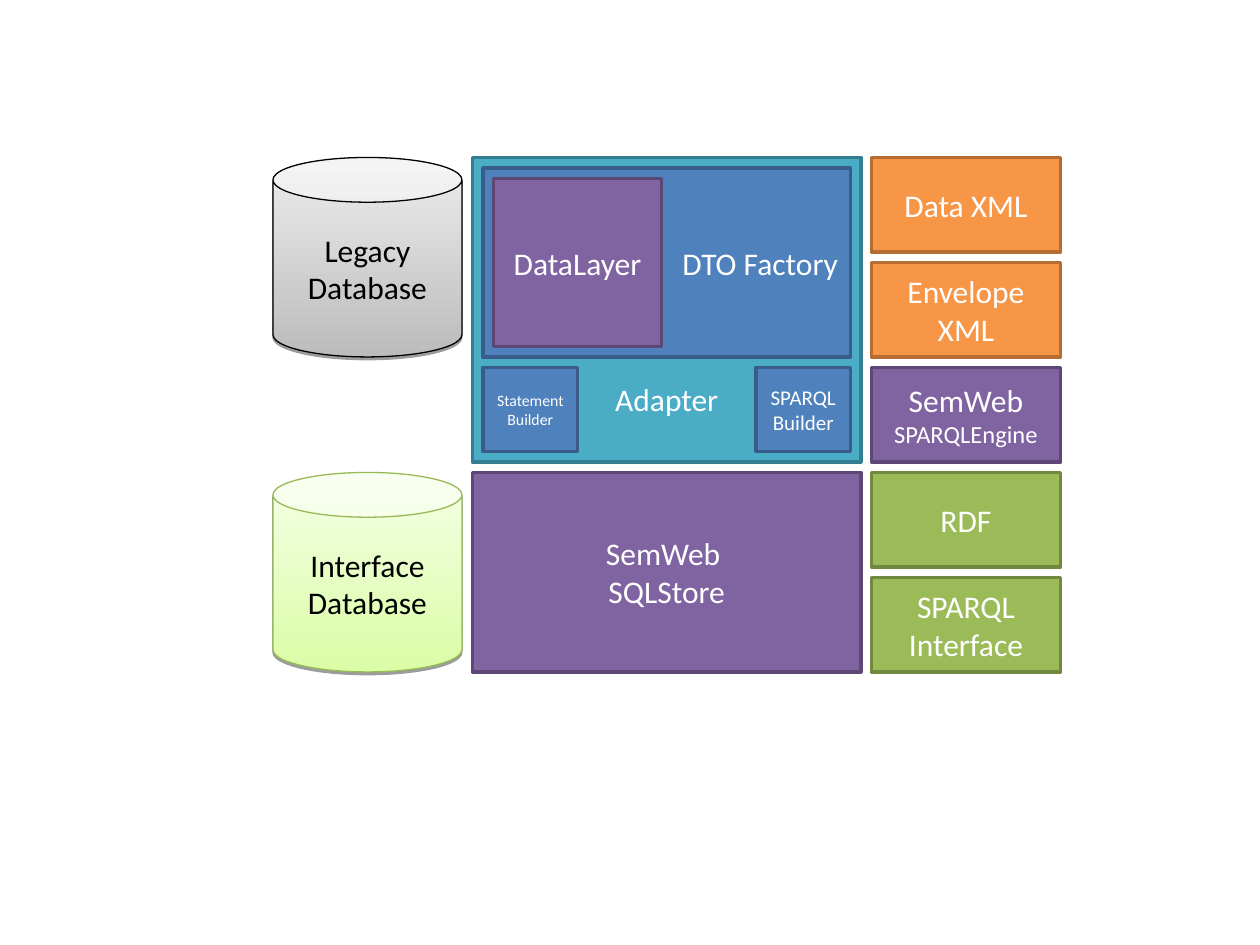
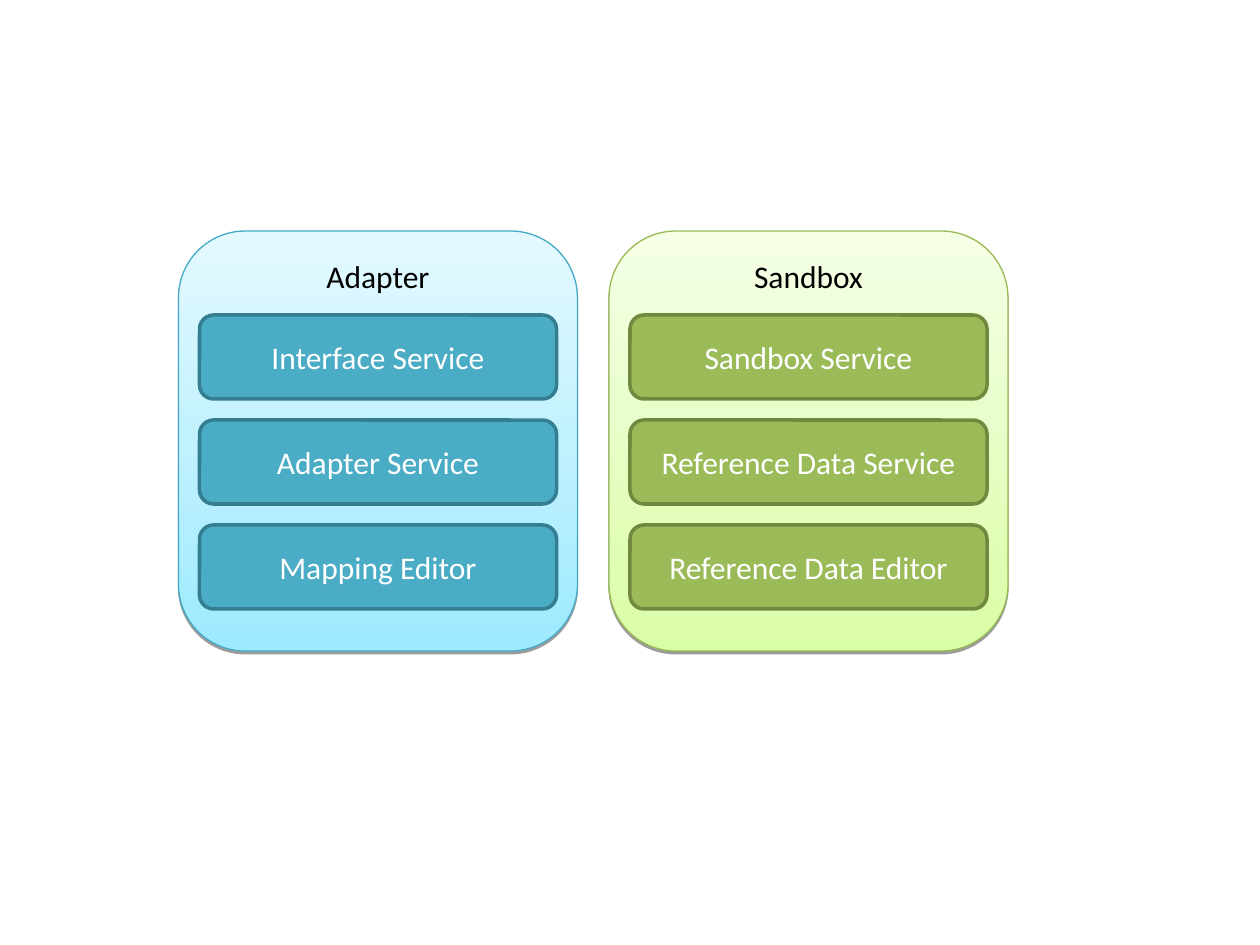
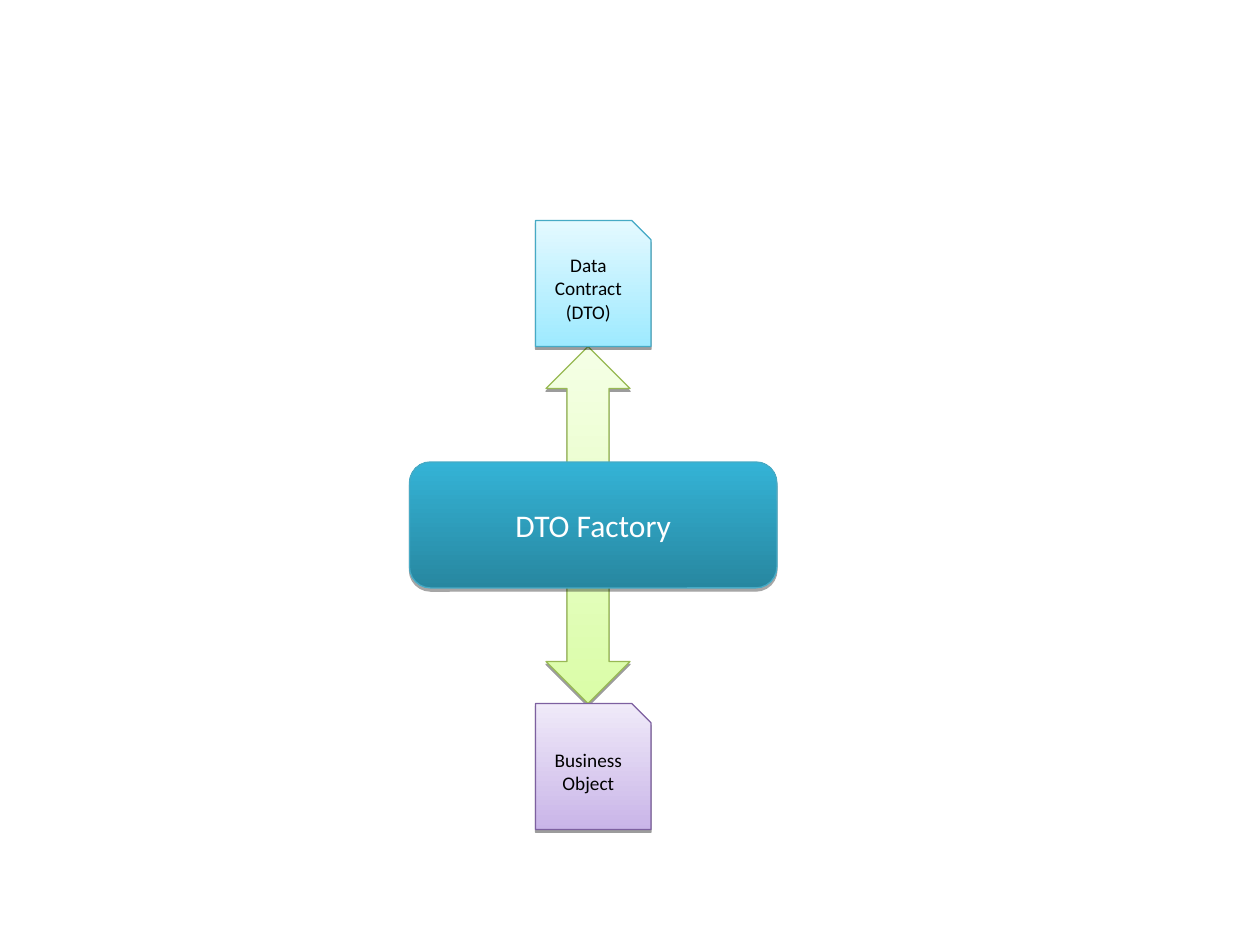
from collections import namedtuple

from lxml import etree
from pptx import Presentation
from pptx.dml.color import RGBColor
from pptx.enum.shapes import MSO_SHAPE as Shape
from pptx.enum.text import MSO_ANCHOR as Anchor, PP_ALIGN as Align
from pptx.oxml.ns import qn
from pptx.util import Inches, Pt

FONT = "Calibri"
WHITE = RGBColor(0xFF, 0xFF, 0xFF)
BLACK = RGBColor(0x00, 0x00, 0x00)

Solid = namedtuple("Solid", "fill line")
Gradient = namedtuple("Gradient", "bottom top line ink shadow", defaults=(BLACK, (1.6, 38)))

TEAL = Solid(RGBColor(0x4B, 0xAC, 0xC6), RGBColor(0x35, 0x7D, 0x91))
BLUE = Solid(RGBColor(0x4F, 0x81, 0xBD), RGBColor(0x38, 0x5D, 0x8A))
PURPLE = Solid(RGBColor(0x80, 0x64, 0xA2), RGBColor(0x5C, 0x47, 0x76))
ORANGE = Solid(RGBColor(0xF7, 0x96, 0x46), RGBColor(0xB6, 0x6D, 0x31))
GREEN = Solid(RGBColor(0x9B, 0xBB, 0x59), RGBColor(0x71, 0x89, 0x3F))

AQUA_LINE = RGBColor(0x46, 0xAA, 0xC5)
PALE_GREY = Gradient(RGBColor(0xBC, 0xBC, 0xBC), RGBColor(0xED, 0xED, 0xED), BLACK)
PALE_GREEN = Gradient(RGBColor(0xDA, 0xFD, 0xA7), RGBColor(0xF5, 0xFF, 0xE6),
                      RGBColor(0x98, 0xB9, 0x54))
PALE_AQUA = Gradient(RGBColor(0x9E, 0xEA, 0xFF), RGBColor(0xE4, 0xF9, 0xFF), AQUA_LINE)
PALE_PURPLE = Gradient(RGBColor(0xC9, 0xB5, 0xE8), RGBColor(0xF0, 0xEA, 0xF9),
                       RGBColor(0x7D, 0x60, 0xA0))
DEEP_AQUA = Gradient(RGBColor(0x27, 0x87, 0xA0), RGBColor(0x34, 0xB3, 0xD6), AQUA_LINE,
                     WHITE, (1.8, 35))

GRID = 12
GAP = 1


def add_shadow(sp, distance, opacity):
    effects = sp._element.spPr.find(qn("a:effectLst"))
    shadow = etree.SubElement(effects, qn("a:outerShdw"), dist=str(Pt(distance)),
                              dir="5400000", rotWithShape="0")
    color = etree.SubElement(shadow, qn("a:srgbClr"), val=str(BLACK))
    etree.SubElement(color, qn("a:alpha"), val=str(opacity * 1000))


def paint(sp, style):
    sp.shadow.inherit = False
    sp.line.color.rgb = style.line
    if isinstance(style, Solid):
        sp.fill.solid()
        sp.fill.fore_color.rgb = style.fill
        sp.line.width = Pt(2)
        return
    sp.fill.gradient()
    sp.fill.gradient_angle = 90
    for i, color in enumerate((style.bottom, style.top)):
        stop = sp.fill.gradient_stops[i]
        stop.position = i
        stop.color.rgb = color
    sp.line.width = Pt(0.75)
    add_shadow(sp, *style.shadow)


def write(sp, text, size, ink, align, anchor, small):
    tf = sp.text_frame
    tf.word_wrap = True
    tf.vertical_anchor = anchor
    p = tf.paragraphs[0]
    p.alignment = align
    p.text = text
    if small:
        p.add_run().text = small
    for r in p.runs:
        for name, value in {"name": FONT, "size": Pt(size)}.items():
            setattr(r.font, name, value)
        r.font.color.rgb = ink
    if small:
        p.runs[-1].font.size = Pt(14)
    for br in p._p.findall(qn("a:br")):
        etree.SubElement(br, qn("a:rPr"), sz=str(size * 100))


def block(s, box, style, text="", size=18, kind=Shape.RECTANGLE, adj=(),
          align=Align.CENTER, anchor=Anchor.MIDDLE, small=""):
    sp = s.shapes.add_shape(kind, *(Inches(n / GRID) for n in box))
    for i, value in enumerate(adj):
        sp.adjustments[i] = value
    paint(sp, style)
    if text:
        write(sp, text, size, getattr(style, "ink", WHITE), align, anchor, small)
    return sp


def rounded(s, box, style, text, **options):
    return block(s, box, style, text, kind=Shape.ROUNDED_RECTANGLE, adj=(0.167,), **options)


def database(s, box, style, text):
    block(s, box, style, text, kind=Shape.CAN, adj=(0.237,))


def adapter(s, box):
    x, y, w, h = box
    frame = block(s, box, TEAL, "Adapter", anchor=Anchor.BOTTOM)
    frame.text_frame.margin_bottom = Inches(0.35)
    left, top = x + GAP, y + GAP
    inner_w, factory_h = w - 2 * GAP, 18
    block(s, (left, top, inner_w, factory_h), BLUE, "DTO Factory", align=Align.RIGHT)
    layer = factory_h - 2 * GAP
    block(s, (left + GAP, top + GAP, layer, layer), PURPLE, "DataLayer")
    builder_w, builder_h = 9, 8
    builder_y = y + h - GAP - builder_h
    for builder_x, text, size in ((left, "Statement Builder", 9),
                                  (left + inner_w - builder_w, "SPARQL Builder", 12)):
        block(s, (builder_x, builder_y, builder_w, builder_h), BLUE, text, size)


def interfaces(s, box):
    x, y, w, h = box
    rows = (("Data XML", ORANGE, ""), ("Envelope XML", ORANGE, ""),
            ("SemWeb ", PURPLE, "SPARQLEngine"), ("RDF", GREEN, ""),
            ("SPARQL\vInterface", GREEN, ""))
    step = (h + GAP) / len(rows)
    for i, (text, style, small) in enumerate(rows):
        block(s, (x, y + i * step, w, step - GAP), style, text, small=small)


def architecture_slide(s, box):
    x, y, w, h = box
    side_w, store_h = 18, 19
    center_x, store_y = x + side_w + GAP, y + h - store_h
    center_w = w - 2 * (side_w + GAP)
    adapter(s, (center_x, y, center_w, h - store_h - GAP))
    block(s, (center_x, store_y, center_w, store_h), PURPLE, "SemWeb \vSQLStore")
    interfaces(s, (x + w - side_w, y, side_w, h))
    database(s, (x, y, side_w, store_h), PALE_GREY, "Legacy Database")
    database(s, (x, store_y, side_w, store_h), PALE_GREEN, "Interface\vDatabase")


def service_panel(s, box, panel_style, card_style, title, services):
    x, y, w, h = box
    rounded(s, box, panel_style, title, anchor=Anchor.TOP)
    for i, text in enumerate(services):
        rounded(s, (x + 2, y + 8 + i * 10, w - 4, 8), card_style, text)


def services_slide(s, box):
    x, y, w, h = box
    panels = (
        (PALE_AQUA, TEAL, "Adapter",
         ("Interface Service", "Adapter Service", "Mapping Editor")),
        (PALE_GREEN, GREEN, "Sandbox",
         ("Sandbox Service", "Reference Data Service", "Reference Data Editor")),
    )
    gutter = 3
    panel_w = (w - gutter) / len(panels)
    for i, panel in enumerate(panels):
        service_panel(s, (x + i * (panel_w + gutter), y, panel_w, h), *panel)


def document(s, box, style, text):
    block(s, box, style, text, 11, Shape.SNIP_1_RECTANGLE, (0.167,))


def factory_slide(s, box):
    x, y, w, h = box
    doc_w, doc_h, arrow_w, factory_h = 11, 12, 8, 12
    doc_x = x + (w - doc_w) / 2
    block(s, (doc_x + GAP, y + doc_h, arrow_w, h - 2 * doc_h), PALE_GREEN,
          kind=Shape.UP_DOWN_ARROW, adj=(0.5, 0.5))
    rounded(s, (x, y + (h - factory_h) / 2, w, factory_h), DEEP_AQUA, "DTO Factory")
    document(s, (doc_x, y + h - doc_h, doc_w, doc_h), PALE_PURPLE, "Business Object")
    document(s, (doc_x, y, doc_w, doc_h), PALE_AQUA, "Data Contract\v(DTO)")


def main():
    prs = Presentation()
    prs.slide_width, prs.slide_height = Inches(10), Inches(7.5)
    for build, box in ((architecture_slide, (26, 15, 75, 49)),
                       (services_slide, (17, 22, 79, 40)),
                       (factory_slide, (39, 21, 35, 58))):
        build(prs.slides.add_slide(prs.slide_layouts[6]), box)
    prs.save("out.pptx")


if __name__ == "__main__":
    main()
